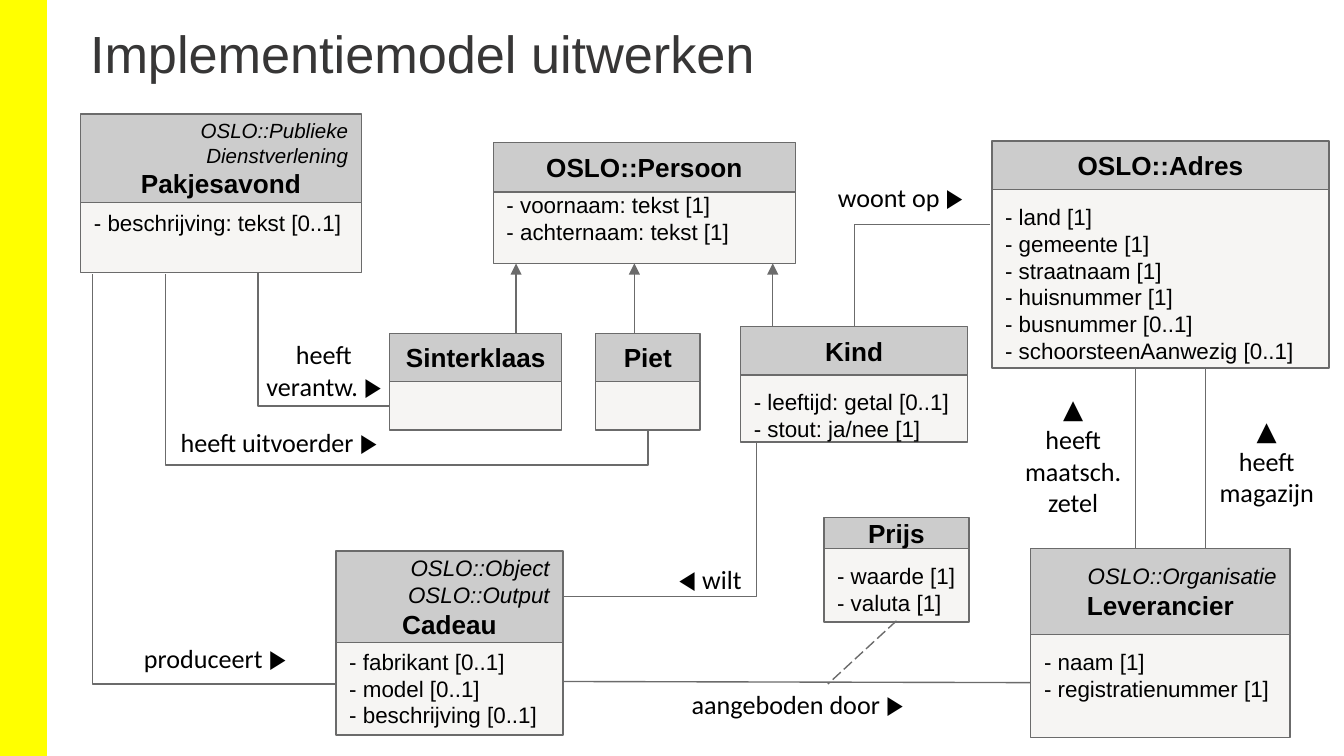
from copy import deepcopy

from lxml import etree
from pptx import Presentation
from pptx.dml.color import RGBColor
from pptx.enum.dml import MSO_LINE
from pptx.enum.shapes import MSO_CONNECTOR as CONN, MSO_SHAPE as SHAPE
from pptx.enum.text import MSO_ANCHOR as ANCHOR, PP_ALIGN as ALIGN
from pptx.oxml.ns import qn
from pptx.util import Inches, Pt

WHITE = RGBColor(0xFF, 0xFF, 0xFF)
YELLOW = RGBColor(0xFF, 0xFF, 0x00)
BLACK = RGBColor(0x00, 0x00, 0x00)
TITLE_GREY = RGBColor(0x37, 0x36, 0x36)
LINE_GREY = RGBColor(0x6B, 0x6B, 0x6B)
HEAD_GREY = RGBColor(0xCC, 0xCC, 0xCC)
BODY_GREY = RGBColor(0xF6, 0xF5, 0xF3)

SLIDE_WIDTH = 10
SLIDE_HEIGHT = SLIDE_WIDTH * 9 / 16

# name, box, head height, body offset, stereotype, attributes
CLASSES = [
    ("Kind", (5.51, 2.43, 1.69, 0.86), 0.36, 0.36, "",
     ["- leeftijd: getal [0..1]\n- stout: ja/nee [1]"]),
    ("OSLO::Persoon", (3.67, 1.06, 2.25, 0.9), 0.37, 0.26, "",
     ["- voornaam: tekst [1]", "- achternaam: tekst [1]"]),
    ("OSLO::Adres", (7.38, 1.05, 2.51, 1.69), 0.36, 0.36, "",
     ["- land [1]\n- gemeente [1]", "- straatnaam [1]", "- huisnummer [1]",
      "- busnummer [0..1]", "- schoorsteenAanwezig [0..1]"]),
    ("Piet", (4.43, 2.48, 0.78, 0.72), 0.36, 0.36, "", []),
    ("Leverancier", (7.67, 4.08, 1.93, 1.41), 0.64, 0.64, "OSLO::Organisatie",
     ["- naam [1]", "- registratienummer [1]"]),
    ("Cadeau", (2.5, 4.1, 1.69, 1.37), 0.68, 0.62, "OSLO::Object\nOSLO::Output",
     ["- fabrikant [0..1]", "- model [0..1]", "- beschrijving [0..1]"]),
    ("Prijs", (6.13, 3.85, 1.08, 0.78), 0.23, 0.23, "",
     ["- waarde [1]", "- valuta [1]"]),
    ("Pakjesavond", (0.6, 0.85, 2.09, 1.18), 0.66, 0.61,
     "OSLO::Publieke Dienstverlening", ["- beschrijving: tekst [0..1]"]),
    ("Sinterklaas", (2.9, 2.48, 1.28, 0.72), 0.36, 0.36, "", []),
]
STEREOTYPE_SIZES = {"Pakjesavond": 11}
LABELS = [
    ("woont op ▶", (6.06, 1.25, 1.28)),
    ("heeft uitvoerder ▶", (1.11, 3.07, 1.93)),
    ("produceert ▶", (0.88, 4.68, 1.44)),
    ("heeft\nverantw. ▶", (1.54, 2.42, 1.74)),
    ("▲\nheeft magazijn", (8.87, 2.98, 1.11)),
    ("▲\nheeft maatsch.\nzetel", (7.43, 2.82, 1.11)),
    ("◀ wilt", (4.73, 4.09, 1.11)),
    ("aangeboden door ▶", (4.97, 5.02, 1.93)),
]
STRAIGHT_LINKS = [
    ((3.74, 5.07), (7.96, 5.08)),
    ((8.97, 4.66), (8.97, 2.22)),
    ((8.45, 4.58), (8.45, 2.15)),
]
BENT_LINKS = [
    ((1.92, 2.03), (2.9, 3.02), [0]),
    ((0.69, 2.04), (2.5, 5.09), [0]),
    ((4.19, 4.44), (5.63, 3.29), [100000]),
    ((6.36, 2.43), (7.37, 1.67), [0]),
    ((1.23, 2.04), (4.82, 3.2), [0, 122400]),
]
SUBCLASS_XS = [3.84, 4.72, 5.75]


def write(frame, text, size=12, font="Arial", color=BLACK, bold=False, italic=False,
          align=ALIGN.LEFT, spacing=None):
    """Add one formatted paragraph, with a line break at each newline."""
    first = frame.paragraphs[0]
    paragraph = frame.add_paragraph() if first.runs else first
    paragraph.alignment = align
    if spacing:
        paragraph.line_spacing = spacing
    for number, line in enumerate(text.split("\n")):
        if number:
            paragraph.add_line_break()
        run = paragraph.add_run()
        run.text = line
        run.font.size, run.font.name = Pt(size), font
        run.font.bold, run.font.italic = bold, italic
        run.font.color.rgb = color
    for line_break in paragraph._p.findall(qn("a:br")):
        line_break.append(deepcopy(paragraph.runs[0]._r.rPr))


def set_frame(frame, side=0.1, end=0.1, anchor=ANCHOR.TOP):
    """Wrap a text frame and set its margins and anchor."""
    frame.word_wrap = True
    frame.margin_left = frame.margin_right = Inches(side)
    frame.margin_top = frame.margin_bottom = Inches(end)
    frame.vertical_anchor = anchor
    return frame


def compartment(slide, box, fill, line=LINE_GREY, anchor=ANCHOR.TOP):
    """Draw a filled rectangle and return its text frame."""
    rect = slide.shapes.add_shape(SHAPE.RECTANGLE, *map(Inches, box))
    rect.shadow.inherit = False
    rect.fill.solid()
    rect.fill.fore_color.rgb = fill
    if line is None:
        rect.line.fill.background()
    else:
        rect.line.color.rgb = line
        rect.line.width = Pt(0.75)
    return set_frame(rect.text_frame, anchor=anchor)


def class_box(slide, box, name, head_height, body_offset, stereotype, attributes):
    """Draw a UML class with its head over its attributes."""
    left, top, width, height = box
    body = compartment(slide, (left, top + body_offset, width, height - body_offset), BODY_GREY)
    for attribute in attributes:
        write(body, attribute)
    head = compartment(slide, (left, top, width, head_height), HEAD_GREY, anchor=ANCHOR.MIDDLE)
    if stereotype:
        write(head, stereotype, size=STEREOTYPE_SIZES.get(name, 12), italic=True,
              align=ALIGN.RIGHT)
    write(head, name, size=14, bold=True, align=ALIGN.CENTER)


def link(slide, start, end, bends=(), arrow=False, dashed=False):
    """Draw a straight or bent connector."""
    kind = CONN.ELBOW if bends else CONN.STRAIGHT
    connector = slide.shapes.add_connector(kind, *map(Inches, start + end))
    connector.line.color.rgb = LINE_GREY
    connector.line.width = Pt(0.75)
    if dashed:
        connector.line.dash_style = MSO_LINE.LONG_DASH
    properties = connector._element.spPr
    if bends:
        geometry = properties.find(qn("a:prstGeom"))
        geometry.set("prst", f"bentConnector{len(bends) + 2}")
        guides = geometry.find(qn("a:avLst"))
        for number, bend in enumerate(bends, 1):
            etree.SubElement(guides, qn("a:gd"), name=f"adj{number}", fmla=f"val {bend}")
    if arrow:
        etree.SubElement(properties.find(qn("a:ln")), qn("a:tailEnd"), type="triangle")
    etree.SubElement(properties, qn("a:effectLst"))


def label(slide, box, text):
    """Write the name of an association."""
    frame = set_frame(slide.shapes.add_textbox(*map(Inches, box)).text_frame)
    write(frame, text, size=14, font="Calibri", align=ALIGN.CENTER)


def title(slide, box, text):
    """Write the slide title."""
    frame = set_frame(slide.shapes.add_textbox(*map(Inches, box)).text_frame, 0.09, 0.04)
    write(frame, text, size=28, color=TITLE_GREY, spacing=0.9)


def main():
    """Build the slide and save it."""
    deck = Presentation()
    deck.slide_width, deck.slide_height = Inches(SLIDE_WIDTH), Inches(SLIDE_HEIGHT)
    slide = deck.slides.add_slide(deck.slide_layouts[6])
    slide.background.fill.solid()
    slide.background.fill.fore_color.rgb = WHITE
    compartment(slide, (0, 0, 0.35, SLIDE_HEIGHT), YELLOW, line=None)
    for start, end in STRAIGHT_LINKS:
        link(slide, start, end)
    for x in SUBCLASS_XS:
        link(slide, (x, 2.48), (x, 1.96), arrow=True)
    title(slide, (0.58, 0.17, 8.62, 0.52), "Implementiemodel uitwerken")
    for name, box, *details in CLASSES:
        class_box(slide, box, name, *details)
    for start, end, bends in BENT_LINKS:
        link(slide, start, end, bends)
    link(slide, (6.67, 4.62), (6.16, 5.09), dashed=True)
    for text, place in LABELS:
        label(slide, (*place, 0.21), text)
    deck.save("out.pptx")


if __name__ == "__main__":
    main()
